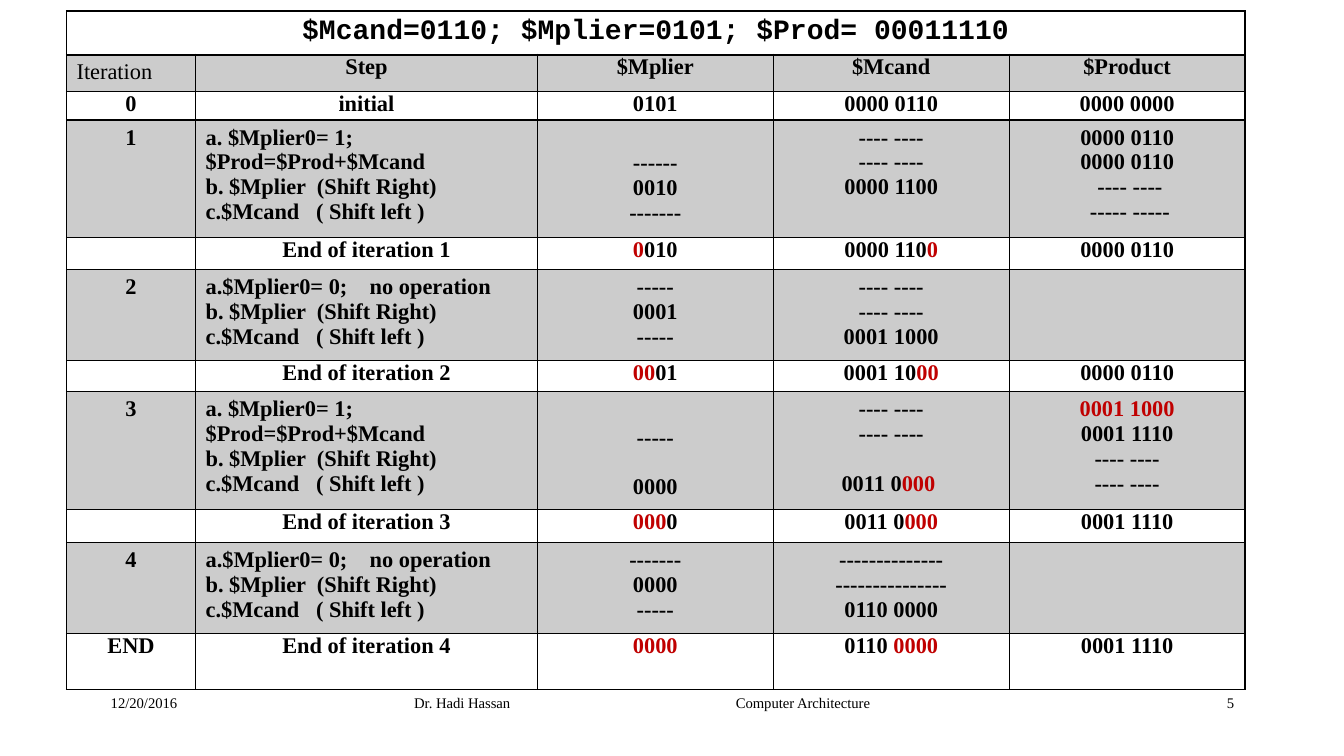
import lxml.etree
import pptx
import pptx.dml.color
import pptx.enum.text
import pptx.oxml.ns
import pptx.util

Inches = pptx.util.Inches
Pt = pptx.util.Pt
ALIGN = pptx.enum.text.PP_ALIGN
SERIF, MONO = "Times New Roman", "Courier New"
BLACK, RED = "000000", "C00000"
LINE = 17.7  # height of one 16 pt line

COLS = [1.28, 3.39, 2.34, 2.34, 2.34]
HEADS = ["Iteration", "Step", "$Mplier", "$Mcand", "$Product"]
SHIFTS = "\nb. $Mplier  (Shift Right)\nc.$Mcand   ( Shift left )"
ADD = "a. $Mplier0= 1;\n$Prod=$Prod+$Mcand" + SHIFTS
SKIP = "a.$Mplier0= 0;    no operation" + SHIFTS
DASH = "---- ----"

# Height and cells of each row; *stars* mark red digits, a blank line a gap
ROWS = [
    (0.36, HEADS),
    (0.28, ["0", "initial", "0101", "0000 0110", "0000 0000"]),
    (1.13, ["1", ADD, "------\n0010\n-------", f"{DASH}\n{DASH}\n0000 1100",
            f"0000 0110\n0000 0110\n {DASH}\n ----- -----"]),
    (0.32, ["", "End of iteration 1", "*0*010", "0000 110*0*", "0000 0110"]),
    (0.87, ["2", SKIP, "-----\n0001\n-----", f"{DASH}\n{DASH}\n0001 1000", ""]),
    (0.31, ["", "End of iteration 2", "*00*01", "0001 10*00*", "0000 0110"]),
    (1.13, ["3", ADD, "-----\n\n0000", f"{DASH}\n{DASH}\n\n0011 0*000 *",
            f"*0001 1000*\n0001 1110\n{DASH}\n{DASH}"]),
    (0.33, ["", "End of iteration 3", "*000*0", "0011 0*000*", "0001 1110"]),
    (0.87, ["4", SKIP, "-------\n0000\n-----",
            "--------------\n---------------\n0110 0000", ""]),
    (0.56, ["END", "End of iteration 4", "*0000*", "0110 *0000*", "0001 1110"]),
]
# Top inset of the multiplier cells that start one line lower
LEADS = {"1": 0.3, "3": 0.33}


def color(code):
    return pptx.dml.color.RGBColor.from_string(code)


def write(frame, text, size=16, font=SERIF, bold=True, align=ALIGN.CENTER):
    """Write lines of text, turning blank lines into paragraph spacing."""
    gap, first = 0, True
    for line in text.split("\n"):
        if not line:
            gap += LINE
            continue
        para = frame.paragraphs[0] if first else frame.add_paragraph()
        para.alignment = align
        if gap:
            para.space_before = Pt(gap)
        gap, first = 0, False
        for i, part in enumerate(line.split("*")):
            if part:
                run = para.add_run()
                run.text = part
                run.font.size = Pt(size)
                run.font.name = font
                run.font.bold = bold
                run.font.color.rgb = color(RED if i % 2 else BLACK)


def border(cell, base=1):
    props = cell._tc.get_or_add_tcPr()
    qn = pptx.oxml.ns.qn
    for i, side in enumerate("LRTB"):
        edge = lxml.etree.Element(qn("a:ln" + side))
        edge.set("w", str(Pt(base if side == "B" else 1)))
        fill = lxml.etree.SubElement(edge, qn("a:solidFill"))
        lxml.etree.SubElement(fill, qn("a:srgbClr")).set("val", BLACK)
        props.insert(i, edge)


def shade(cell, gray):
    if not gray:
        cell.fill.background()
        return
    cell.fill.solid()
    cell.fill.fore_color.rgb = color(BLACK)
    tint = cell._tc.tcPr.find(".//" + pptx.oxml.ns.qn("a:srgbClr"))
    lxml.etree.SubElement(tint, pptx.oxml.ns.qn("a:alpha")).set("val", "20000")


def inset(cell, tight, top=0.05):
    side, base = (0.07, 0) if tight else (0.1, 0.05)
    cell.margin_left = cell.margin_right = Inches(side)
    cell.margin_top = Inches(0 if tight else top)
    cell.margin_bottom = Inches(base)


def trace(slide, left, top, width, height):
    """Draw the table that follows the multiplication step by step."""
    shape = slide.shapes.add_table(len(ROWS) + 1, len(COLS), Inches(left),
                                   Inches(top), Inches(width), Inches(height))
    table = shape.table
    table.first_row = table.horz_banding = False
    for col, size in zip(table.columns, COLS):
        col.width = Inches(size)

    # Title row
    table.rows[0].height = Inches(0.42)
    for cell in table.rows[0].cells:
        shade(cell, False)
        border(cell, 2)
    title = table.cell(0, 0)
    title.merge(table.cell(0, len(COLS) - 1))
    write(title.text_frame, "$Mcand=0110; $Mplier=0101; $Prod= 00011110",
          size=20, font=MONO)

    # Heading and steps
    for r, (tall, texts) in enumerate(ROWS, 1):
        table.rows[r].height = Inches(tall)
        steps = "\n" in texts[1]
        head = texts is HEADS
        for c, text in enumerate(texts):
            cell = table.cell(r, c)
            label = head and c == 0
            lead = LEADS.get(texts[0], 0.05) if c == 2 else 0.05
            inset(cell, not (steps or label), lead)
            shade(cell, steps or head)
            border(cell)
            left_side = label or (steps and c == 1)
            write(cell.text_frame, text, bold=not label,
                  align=ALIGN.LEFT if left_side else ALIGN.CENTER)


def footer(slide, top, height):
    """Place date, author, course and page along the bottom."""
    parts = [
        (1, 2.4, "12/20/2016", ALIGN.LEFT),
        (4.01, 2.5, "Dr. Hadi Hassan", ALIGN.LEFT),
        (7.2, 2.1, "Computer Architecture", ALIGN.LEFT),
        (9.56, 2.78, "5", ALIGN.RIGHT),
    ]
    for left, width, text, align in parts:
        box = slide.shapes.add_textbox(Inches(left), Inches(top),
                                       Inches(width), Inches(height))
        box.text_frame.word_wrap = True
        write(box.text_frame, text, size=10.5, bold=False, align=align)


def main():
    deck = pptx.Presentation()
    deck.slide_width = Inches(13.33)
    deck.slide_height = Inches(7.5)
    slide = deck.slides.add_slide(deck.slide_layouts[6])
    footer(slide, 6.83, 0.38)
    trace(slide, 0.66, 0.11, 11.68, 6.58)
    deck.save("out.pptx")


if __name__ == "__main__":
    main()
